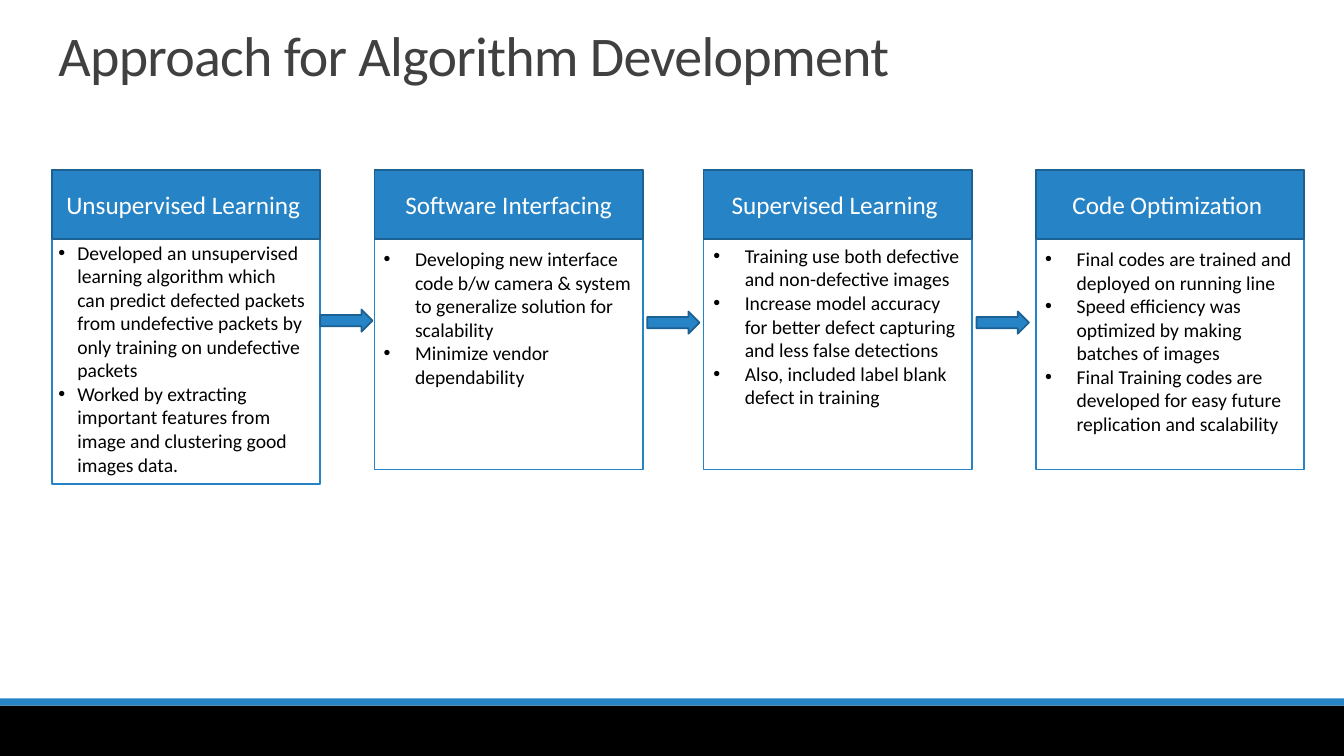
"""Build the slide on the four stages of algorithm development."""
from dataclasses import dataclass

from lxml import etree
from pptx import Presentation
from pptx.dml.color import RGBColor
from pptx.enum.shapes import MSO_SHAPE
from pptx.enum.text import MSO_ANCHOR, PP_ALIGN
from pptx.oxml.ns import qn
from pptx.shapes.autoshape import Shape
from pptx.slide import Slide
from pptx.util import Cm, Pt

RECTANGLE = MSO_SHAPE.RECTANGLE
RIGHT_ARROW = MSO_SHAPE.RIGHT_ARROW
TOP, MIDDLE = MSO_ANCHOR.TOP, MSO_ANCHOR.MIDDLE
LEFT, CENTER = PP_ALIGN.LEFT, PP_ALIGN.CENTER

PAGE_WIDTH, PAGE_HEIGHT = 33.87, 19.05
CARD_TOP, CARD_WIDTH, HEADER_HEIGHT = 4.28, 6.76, 1.75
TITLE_ONLY = 5


@dataclass(frozen=True)
class Theme:
    """Hold the colours, font and type sizes."""
    font: str = "Calibri"
    accent: str = "2683C6"
    edge: str = "1C6192"
    white: str = "FFFFFF"
    black: str = "000000"
    heading: str = "404040"
    title_size: int = 40
    header_size: int = 18
    body_size: int = 14
    line_width: float = 1.25


@dataclass(frozen=True)
class Stage:
    """Describe one card with its bullet points."""
    name: str
    left: float
    height: float
    body_left: float
    body_top: float
    body_height: float
    indent: float
    points: tuple[str, ...]


@dataclass(frozen=True)
class Arrow:
    """Describe the place of an arrow between two cards."""
    left: float
    top: float


THEME = Theme()

STAGES = (
    Stage("Unsupervised Learning ", 1.31, 7.92, 1.22, 5.94, 6.25, 0.48, (
        "Developed an unsupervised learning algorithm which can predict defected "
        "packets from undefective packets by only training on undefective packets",
        "Worked by extracting important features from image and clustering "
        "good images data.")),
    Stage("Software Interfacing", 9.44, 7.55, 9.42, 6.1, 6.15, 0.79, (
        "Developing new interface code b/w camera & system to generalize "
        "solution for scalability",
        "Minimize vendor dependability")),
    Stage("Supervised Learning ", 17.73, 7.55, 17.73, 6.02, 4.45, 0.79, (
        "Training use both defective and non-defective images",
        "Increase model accuracy for better defect capturing and less "
        "false detections",
        "Also, included label blank defect in training")),
    Stage("Code Optimization ", 26.11, 7.55, 26.09, 6.1, 5.05, 0.79, (
        "Final codes are trained and deployed on running line",
        "Speed efficiency was optimized by making batches of images",
        "Final Training codes are developed for easy future replication "
        "and scalability")),
)

ARROWS = (Arrow(8.07, 7.8), Arrow(16.31, 7.85), Arrow(24.61, 7.85))


def add_block(page: Slide, left: float, top: float, width: float, height: float, *,
              fill: str, line: str | None = None, kind: MSO_SHAPE = RECTANGLE) -> Shape:
    """Draw a preset shape with a flat fill and an optional outline."""
    block = page.shapes.add_shape(kind, Cm(left), Cm(top), Cm(width), Cm(height))
    block.shadow.inherit = False
    block.fill.solid()
    block.fill.fore_color.rgb = RGBColor.from_string(fill)
    if line:
        block.line.color.rgb = RGBColor.from_string(line)
        block.line.width = Pt(THEME.line_width)
    else:
        block.line.fill.background()
    return block


def write(box: Shape, *texts: str, size: int, color: str, align: PP_ALIGN = LEFT,
          anchor: MSO_ANCHOR = TOP, indent: float = 0, line_spacing: float = 1,
          tracking: int = 0) -> None:
    """Fill a box with one paragraph for each text."""
    frame = box.text_frame
    frame.word_wrap = True
    frame.vertical_anchor = anchor
    for index, text in enumerate(texts):
        para = frame.add_paragraph() if index else frame.paragraphs[0]
        para.alignment = align
        para.line_spacing = line_spacing
        if indent:
            properties = para._p.get_or_add_pPr()
            properties.set("marL", str(Cm(indent)))
            properties.set("indent", str(-Cm(indent)))
            etree.SubElement(properties, qn("a:buFont"), typeface="Arial")
            etree.SubElement(properties, qn("a:buChar"), char="•")
        span = para.add_run()
        span.text = text
        span.font.name = THEME.font
        span.font.size = Pt(size)
        span.font.color.rgb = RGBColor.from_string(color)
        if tracking:
            span._r.get_or_add_rPr().set("spc", str(tracking))


def add_title(page: Slide, text: str) -> None:
    """Place and format the title placeholder."""
    title = page.shapes.title
    title.left, title.top = Cm(1.22), Cm(0.64)
    title.width, title.height = Cm(27.94), Cm(1.78)
    write(title, text, size=THEME.title_size, color=THEME.heading,
          line_spacing=0.85, tracking=-50)


def add_footer(page: Slide) -> None:
    """Draw the two bands along the foot of the page."""
    add_block(page, 0, 17.78, PAGE_WIDTH, 1.27, fill=THEME.black)
    add_block(page, 0, 17.6, PAGE_WIDTH, 0.18, fill=THEME.accent)


def add_stage(page: Slide, stage: Stage) -> None:
    """Draw a card, its header and its bullet points."""
    add_block(page, stage.left, CARD_TOP, CARD_WIDTH, stage.height,
              fill=THEME.white, line=THEME.accent)
    header = add_block(page, stage.left, CARD_TOP, CARD_WIDTH, HEADER_HEIGHT,
                       fill=THEME.accent, line=THEME.edge)
    write(header, stage.name, size=THEME.header_size, color=THEME.white,
          align=CENTER, anchor=MIDDLE)
    body = page.shapes.add_textbox(Cm(stage.body_left), Cm(stage.body_top),
                                   Cm(CARD_WIDTH), Cm(stage.body_height))
    write(body, *stage.points, size=THEME.body_size, color=THEME.black,
          indent=stage.indent)


def main() -> None:
    """Build and save the deck."""
    deck = Presentation()
    deck.slide_width, deck.slide_height = Cm(PAGE_WIDTH), Cm(PAGE_HEIGHT)
    page = deck.slides.add_slide(deck.slide_layouts[TITLE_ONLY])
    add_title(page, "Approach for Algorithm Development")
    add_footer(page)
    for stage in STAGES:
        add_stage(page, stage)
    for arrow in ARROWS:
        add_block(page, arrow.left, arrow.top, 1.32, 0.56, fill=THEME.accent,
                  line=THEME.edge, kind=RIGHT_ARROW)
    deck.save("out.pptx")


if __name__ == "__main__":
    main()
